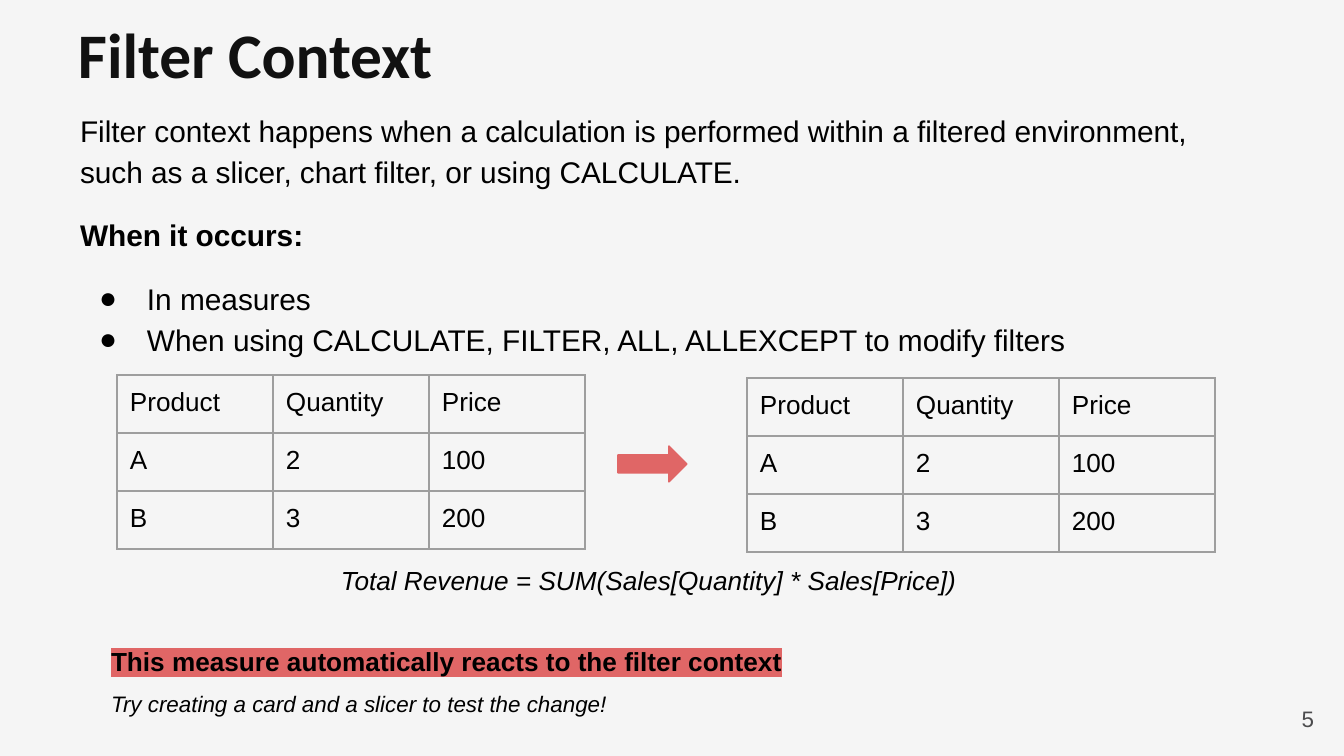
from dataclasses import dataclass

from lxml import etree
from pptx import Presentation
from pptx import util as u
from pptx.dml.color import RGBColor
from pptx.enum import shapes, text
from pptx.oxml.ns import qn

EMU_PER_PX = 914400 / 134.4
BLACK, INK, GRAY = "000000", "111111", "4B4B4D"
RED, GRID, PAPER = "E06666", "9E9E9E", "F5F5F5"
INSET = 13
COLUMN_WIDTH, ROW_HEIGHT = 156, 58
SALES = [("Product", "Quantity", "Price"), ("A", "2", "100"), ("B", "3", "200")]


@dataclass
class Box:
    left: int
    top: int
    width: int
    height: int


@dataclass
class Para:
    words: str
    size: int
    color: str = BLACK
    font: str = "Arial"
    bold: bool = False
    italic: bool = False
    highlight: str = ""
    bullet: bool = False
    spacing: float = 1.0
    before: int = 0
    align: text.PP_ALIGN = text.PP_ALIGN.LEFT


def px(length: int) -> u.Emu:
    return u.Emu(round(length * EMU_PER_PX))


def rgb(value: str) -> RGBColor:
    return RGBColor.from_string(value)


def add_color(parent, tag: str, value: str):
    """Append a colour-holding element such as a:buClr."""
    holder = etree.SubElement(parent, qn(tag))
    etree.SubElement(holder, qn("a:srgbClr"), val=value)
    return holder


def set_bullet(para, bullet: bool) -> None:
    props = para._p.get_or_add_pPr()
    props.set("marL", str(px(67) if bullet else 0))
    props.set("indent", str(px(-48) if bullet else 0))
    if bullet:
        add_color(props, "a:buClr", BLACK)
        etree.SubElement(props, qn("a:buFont"), typeface="Arial")
        etree.SubElement(props, qn("a:buChar"), char="●")
    else:
        etree.SubElement(props, qn("a:buNone"))


def write(frame, paras: list[Para]) -> None:
    for index, item in enumerate(paras):
        para = frame.add_paragraph() if index else frame.paragraphs[0]
        para.alignment = item.align
        para.line_spacing = item.spacing
        para.space_before = u.Pt(item.before)
        para.space_after = u.Pt(0)
        set_bullet(para, item.bullet)
        span = para.add_run()
        span.text = item.words
        span.font.size = u.Pt(item.size)
        span.font.name = item.font
        span.font.bold = item.bold
        span.font.italic = item.italic
        span.font.color.rgb = rgb(item.color)
        if item.highlight:
            props = span._r.get_or_add_rPr()
            mark = add_color(props, "a:highlight", item.highlight)
            props.find(qn("a:solidFill")).addnext(mark)


def fill_text(shape, box: Box, inset: int, paras: list[Para]) -> None:
    shape.left, shape.top = px(box.left), px(box.top)
    shape.width, shape.height = px(box.width), px(box.height)
    frame = shape.text_frame
    frame.word_wrap = True
    frame.auto_size = text.MSO_AUTO_SIZE.NONE
    frame.vertical_anchor = text.MSO_ANCHOR.TOP
    frame.margin_left = frame.margin_right = px(inset)
    frame.margin_top = frame.margin_bottom = px(inset)
    write(frame, paras)


def add_text(page, box: Box, inset: int, paras: list[Para]) -> None:
    fill_text(page.shapes.add_textbox(0, 0, 0, 0), box, inset, paras)


def set_borders(cell) -> None:
    props = cell._tc.get_or_add_tcPr()
    for index, side in enumerate(("lnL", "lnR", "lnT", "lnB")):
        line = etree.Element(qn(f"a:{side}"), w=str(u.Pt(0.75)))
        add_color(line, "a:solidFill", GRID)
        props.insert(index, line)


def add_sales_table(page, left: int, top: int) -> None:
    rows, columns = len(SALES), len(SALES[0])
    table = page.shapes.add_table(
        rows, columns, px(left), px(top),
        px(columns * COLUMN_WIDTH), px(rows * ROW_HEIGHT)).table
    table.first_row = table.horz_banding = False
    for column in table.columns:
        column.width = px(COLUMN_WIDTH)
    for row, values in zip(table.rows, SALES):
        row.height = px(ROW_HEIGHT)
        for cell, value in zip(row.cells, values):
            cell.fill.background()
            cell.margin_left = cell.margin_right = px(INSET)
            cell.margin_top = cell.margin_bottom = px(INSET)
            set_borders(cell)
            write(cell.text_frame, [Para(value, 14)])


def add_arrow(page, box: Box) -> None:
    arrow = page.shapes.add_shape(
        shapes.MSO_SHAPE.RIGHT_ARROW, px(box.left), px(box.top),
        px(box.width), px(box.height))
    arrow.shadow.inherit = False
    arrow.fill.solid()
    arrow.fill.fore_color.rgb = rgb(RED)
    arrow.line.color.rgb = rgb(RED)
    arrow.line.width = u.Pt(0.75)


def main() -> None:
    deck = Presentation()
    deck.slide_width, deck.slide_height = px(1344), px(756)
    page = deck.slides.add_slide(deck.slide_layouts[1])
    page.background.fill.solid()
    page.background.fill.fore_color.rgb = rgb(PAPER)

    fill_text(page.shapes.title, Box(78, 30, 1052, 62), 0, [
        Para("Filter Context", 34, INK, "Calibri", bold=True, spacing=0.8)])
    fill_text(page.placeholders[1], Box(67, 94, 1183, 339), INSET, [
        Para("Filter context happens when a calculation is performed within a "
             "filtered environment, such as a slicer, chart filter, or using "
             "CALCULATE.", 16, spacing=1.15),
        Para("When it occurs:", 16, bold=True, spacing=1.15, before=12),
        Para("In measures", 16, bullet=True, spacing=1.15, before=12),
        Para("When using CALCULATE, FILTER, ALL, ALLEXCEPT to modify filters",
             16, bullet=True, spacing=1.15)])

    add_sales_table(page, 117, 375)
    add_arrow(page, Box(618, 446, 69, 36))
    add_sales_table(page, 747, 378)

    add_text(page, Box(328, 551, 859, 90), INSET, [
        Para("Total Revenue = SUM(Sales[Quantity] * Sales[Price])", 14,
             italic=True)])
    add_text(page, Box(98, 617, 1183, 102), INSET, [
        Para("This measure automatically reacts to the filter context", 14,
             bold=True, highlight=RED, spacing=1.5),
        Para("Try creating a card and a slicer to test the change!", 12,
             italic=True, spacing=1.5)])
    add_text(page, Box(1267, 705, 47, 27), 0, [
        Para("5", 12, GRAY, align=text.PP_ALIGN.RIGHT)])
    deck.save("out.pptx")


if __name__ == "__main__":
    main()
